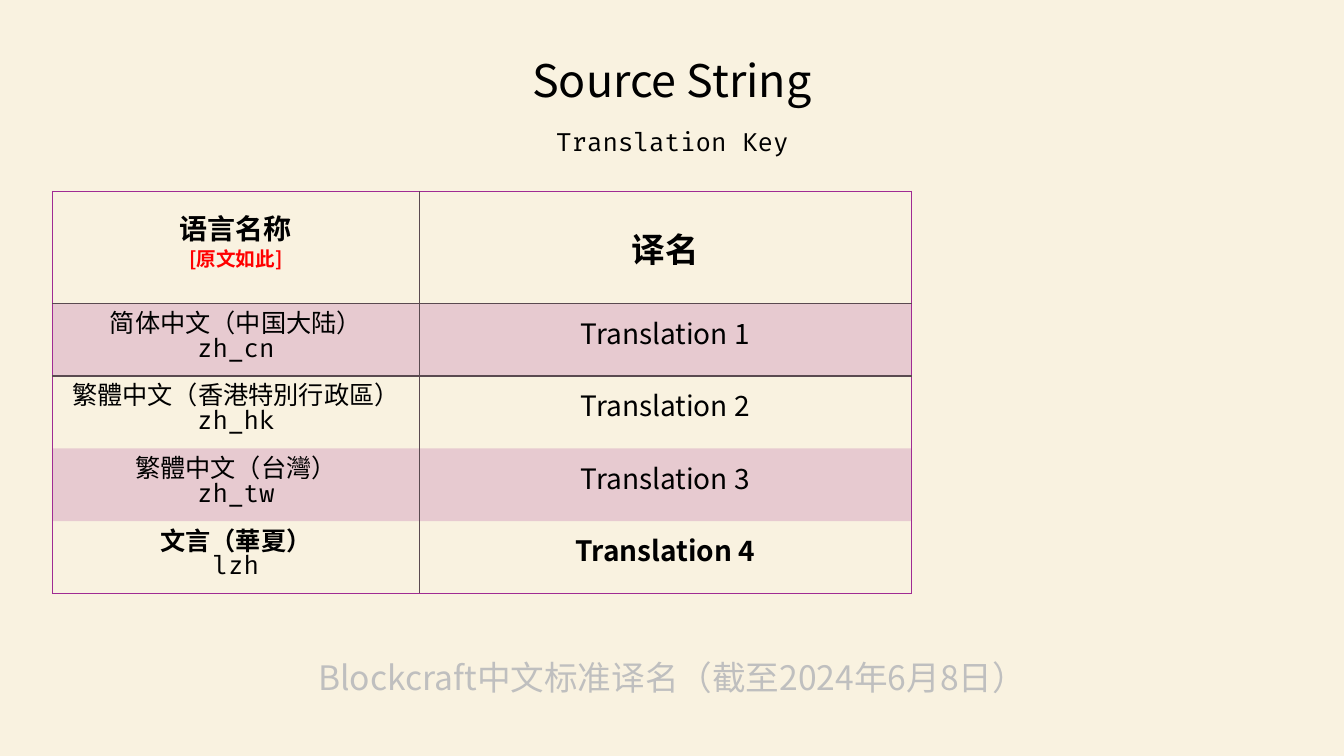
from lxml import etree
from pptx import Presentation
from pptx.dml.color import RGBColor
from pptx.enum.text import MSO_ANCHOR, MSO_AUTO_SIZE, PP_ALIGN
from pptx.oxml.ns import qn
from pptx.util import Inches, Pt

CENTER = PP_ALIGN.CENTER
MIDDLE = MSO_ANCHOR.MIDDLE
GROW = MSO_AUTO_SIZE.SHAPE_TO_FIT_TEXT
SANS, SANS_JP, MONO = "Noto Sans CJK SC", "Noto Sans CJK JP", "Fira Code"
NO_STYLE = "{2D5ABB26-0587-4C30-8999-92F81FD0307C}"
COLORS = {"paper": "F9F2E0", "ink": "000000", "note": "FF0000",
          "footer": "BFBFBF", "purple": "A02B93", "inner": "5A4A50"}


def write_lines(tf, lines, spacing=None):
    """Fill a text frame with centred (text, size, font, colour, bold) lines."""
    for i, (text, size, font, color, bold) in enumerate(lines):
        p = tf.paragraphs[0] if i == 0 else tf.add_paragraph()
        p.alignment = CENTER
        p.line_spacing = spacing
        r = p.add_run()
        r.text = text
        r.font.size = Pt(size)
        r.font.bold = bold
        r.font.name = font
        r.font.color.rgb = RGBColor.from_string(COLORS[color])
        etree.SubElement(r.font._element, qn("a:ea"), typeface=font)


def add_border(cell, side, color):
    ln = etree.SubElement(cell._tc.get_or_add_tcPr(), qn(f"a:ln{side}"), w=str(Pt(1)))
    fill = etree.SubElement(ln, qn("a:solidFill"))
    etree.SubElement(fill, qn("a:srgbClr"), val=COLORS[color])


prs = Presentation()
prs.slide_width, prs.slide_height = Inches(13.33), Inches(7.5)
s = prs.slides.add_slide(prs.slide_layouts[6])
s.background.fill.solid()
s.background.fill.fore_color.rgb = RGBColor.from_string(COLORS["paper"])

# Headings and footer: box, wrap, line spacing, line
text_boxes = [
    ((2.89, 6.51, 7.55, 0.5), True, 0.9,
     ("Blockcraft中文标准译名（截至2024年6月8日）", 24, SANS, "footer", False)),
    ((5.05, 0.47, 3.23, 0.64), False, None,
     ("Source String", 32, SANS, "ink", False)),
    ((5.4, 1.2, 2.54, 0.4), False, None,
     ("Translation Key", 18, MONO, "ink", False)),
]
for box, wrap, spacing, line in text_boxes:
    tf = s.shapes.add_textbox(*map(Inches, box)).text_frame
    tf.word_wrap = wrap
    tf.auto_size = GROW
    write_lines(tf, [line], spacing)

# Translation table
languages = [("简体中文（中国大陆）", "zh_cn"), ("繁體中文（香港特別行政區）", "zh_hk"),
             ("繁體中文（台灣）", "zh_tw"), ("文言（華夏）", "lzh")]
last_row, last_col = len(languages), 1
frame = s.shapes.add_table(last_row + 1, last_col + 1, Inches(0.52), Inches(1.9),
                           Inches(8.52), Inches(3.99))
table = frame.table
table.first_row = table.horz_banding = False
table._tbl.tblPr.find(qn("a:tableStyleId")).text = NO_STYLE
for column, width in zip(table.columns, (3.64, 4.88)):
    column.width = Inches(width)
for row, height in zip(table.rows, [1.11] + [0.72] * last_row):
    row.height = Inches(height)

write_lines(table.cell(0, 0).text_frame,
            [("语言名称", 20, SANS, "ink", True), ("[原文如此]", 14, SANS, "note", True)],
            Pt(18))
write_lines(table.cell(0, 1).text_frame, [("译名", 24, SANS, "ink", True)])
for i, (language, code) in enumerate(languages, start=1):
    bold = i == last_row
    write_lines(table.cell(i, 0).text_frame,
                [(language, 18, SANS, "ink", bold), (code, 18, MONO, "ink", False)],
                Pt(18))
    write_lines(table.cell(i, 1).text_frame,
                [(f"Translation {i}", 20, SANS_JP if bold else SANS, "ink", bold)],
                Pt(18))

for i in range(last_row + 1):
    for j in range(last_col + 1):
        cell = table.cell(i, j)
        cell.vertical_anchor = MIDDLE
        if i > 0:
            cell.margin_left = cell.margin_right = Inches(0.01)
            cell.margin_top = cell.margin_bottom = 0
        add_border(cell, "L", "purple" if j == 0 else "inner")
        add_border(cell, "R", "purple" if j == last_col else "inner")
        if i == 0:
            add_border(cell, "T", "purple")
            add_border(cell, "B", "inner")
        elif i == 1:
            add_border(cell, "T", "inner")
        elif i == last_row:
            add_border(cell, "B", "purple")
        if i % 2:
            cell.fill.solid()
            cell.fill.fore_color.rgb = RGBColor.from_string(COLORS["purple"])
            tint = cell._tc.tcPr.find(f"{qn('a:solidFill')}/{qn('a:srgbClr')}")
            etree.SubElement(tint, qn("a:alpha"), val="20000")
        else:
            cell.fill.background()

prs.save("out.pptx")
